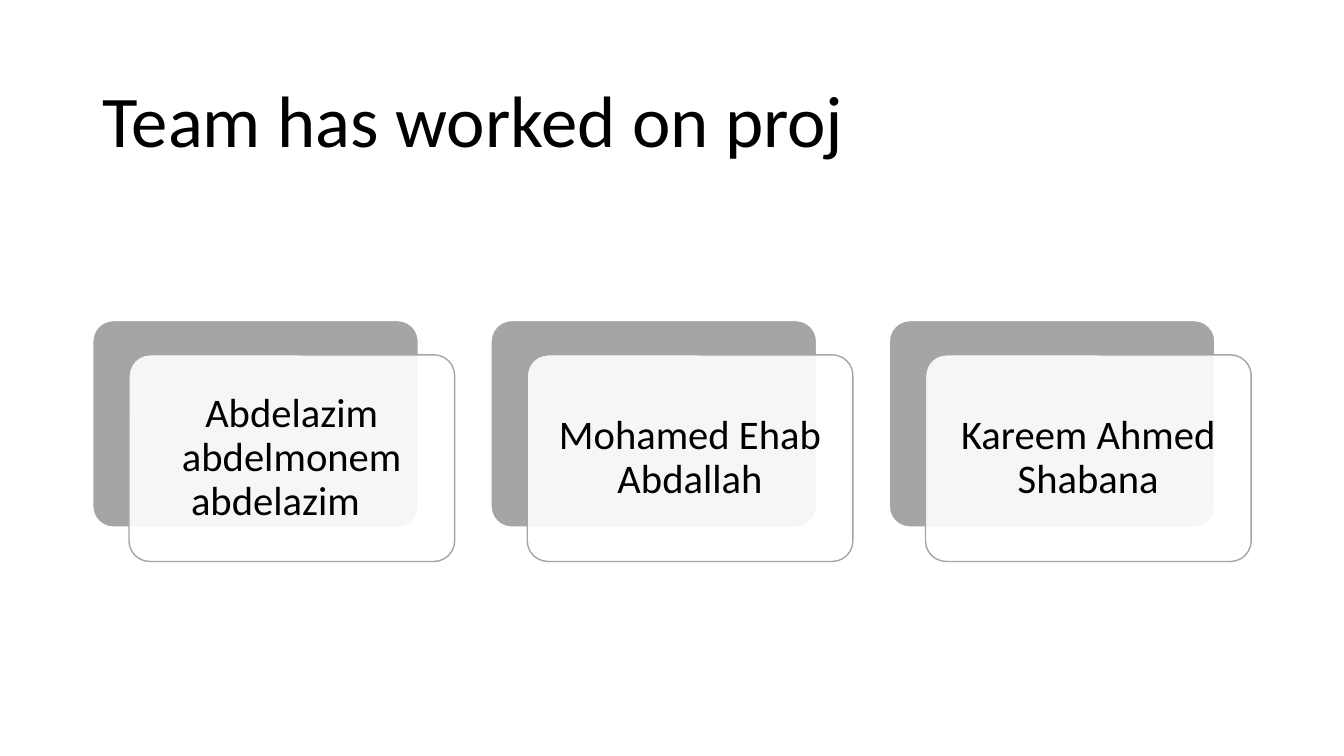
from lxml.etree import SubElement
from pptx import Presentation
from pptx.dml.color import RGBColor
from pptx.enum.shapes import MSO_SHAPE
from pptx.enum.text import MSO_ANCHOR, MSO_AUTO_SIZE, PP_ALIGN
from pptx.oxml.ns import qn
from pptx.util import Inches, Pt

BLACK, WHITE, GRAY = "000000", "FFFFFF", "A5A5A5"
# The trailing tab shifts the last line of the first name to the left.
TEAM = [
    "Abdelazim abdelmonem abdelazim \t",
    "Mohamed Ehab Abdallah",
    "Kareem Ahmed Shabana",
]
LEFT, TOP, STEP = 0.92, 3.18, 3.95
WIDTH, HEIGHT = 3.23, 2.05
SHIFT_X, SHIFT_Y = 0.36, 0.34


def color(code):
    return RGBColor.from_string(code)


def set_text(shape, text, size, align):
    frame = shape.text_frame
    frame.text = text
    frame.word_wrap = True
    frame.auto_size = MSO_AUTO_SIZE.NONE
    frame.vertical_anchor = MSO_ANCHOR.MIDDLE
    para = frame.paragraphs[0]
    para.alignment = align
    para.line_spacing = 0.9
    para.font.name = "Calibri"
    para.font.size = Pt(size)
    para.font.color.rgb = color(BLACK)
    return frame


def add_title(slide, text):
    title = slide.shapes.title
    title.left, title.top = Inches(0.92), Inches(0.61)
    title.width, title.height = Inches(11.5), Inches(1.24)
    set_text(title, text, 52, PP_ALIGN.LEFT)


def add_panel(slide, left, top, fill, line):
    panel = slide.shapes.add_shape(
        MSO_SHAPE.ROUNDED_RECTANGLE,
        Inches(left), Inches(top), Inches(WIDTH), Inches(HEIGHT),
    )
    panel.adjustments[0] = 0.1
    panel.shadow.inherit = False
    panel.fill.solid()
    panel.fill.fore_color.rgb = color(fill)
    panel.line.color.rgb = color(line)
    panel.line.width = Pt(1)
    return panel


def set_alpha(shape, percent):
    tint = shape._element.spPr.find(qn("a:solidFill")).find(qn("a:srgbClr"))
    SubElement(tint, qn("a:alpha"), val=str(percent * 1000))


def add_card(slide, left, name):
    """Add a gray panel with a named, nearly opaque white one over it."""
    add_panel(slide, left, TOP, GRAY, WHITE)
    front = add_panel(slide, left + SHIFT_X, TOP + SHIFT_Y, WHITE, GRAY)
    set_alpha(front, 90)
    frame = set_text(front, name, 29, PP_ALIGN.CENTER)
    frame.margin_left = frame.margin_right = Inches(0.18)
    frame.margin_top = frame.margin_bottom = Inches(0.18)


def main():
    deck = Presentation()
    deck.slide_width, deck.slide_height = Inches(13.33), Inches(7.5)
    slide = deck.slides.add_slide(deck.slide_layouts[5])
    add_title(slide, "Team has worked on proj")
    for index, name in enumerate(TEAM):
        add_card(slide, LEFT + index * STEP, name)
    deck.save("out.pptx")


if __name__ == "__main__":
    main()
